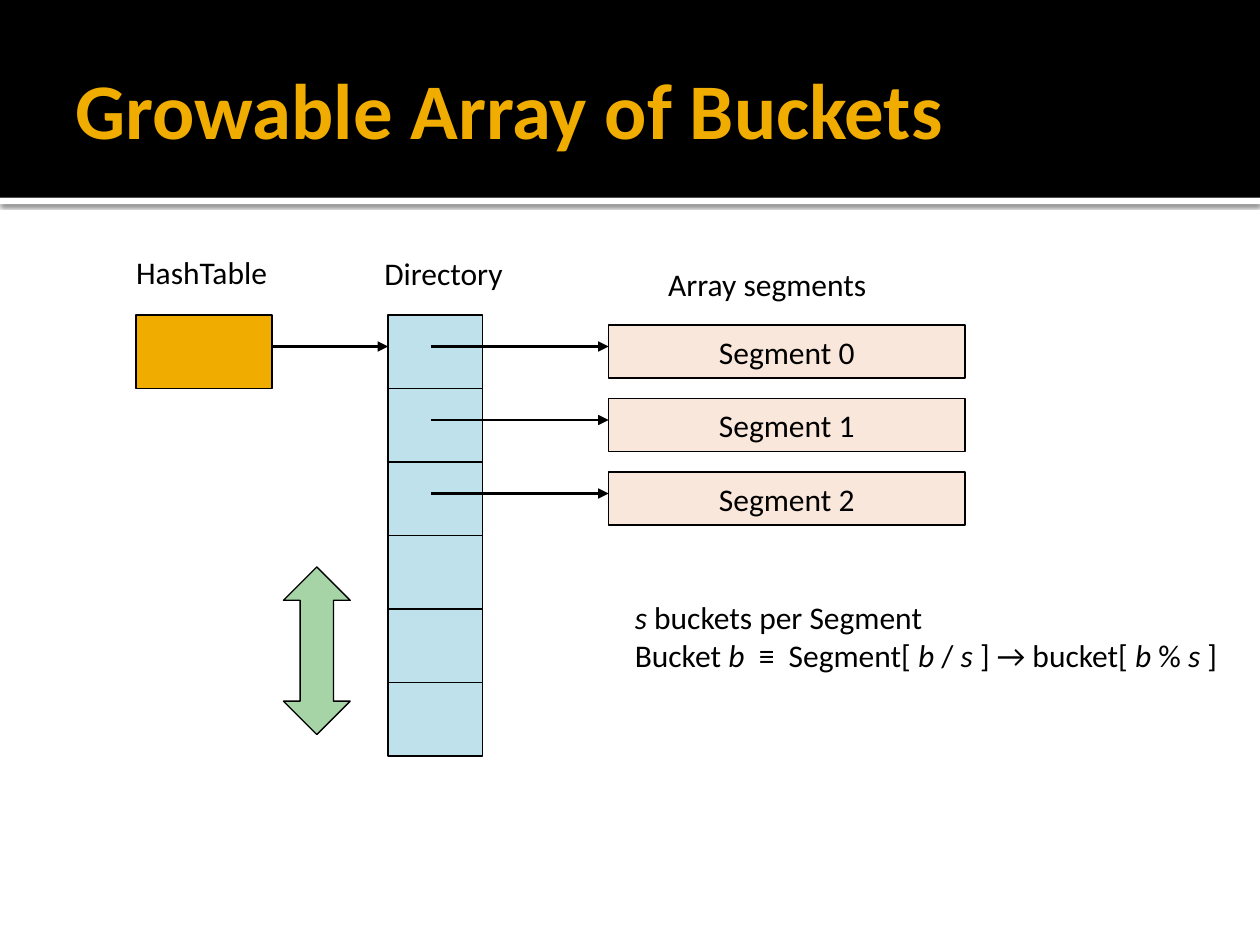
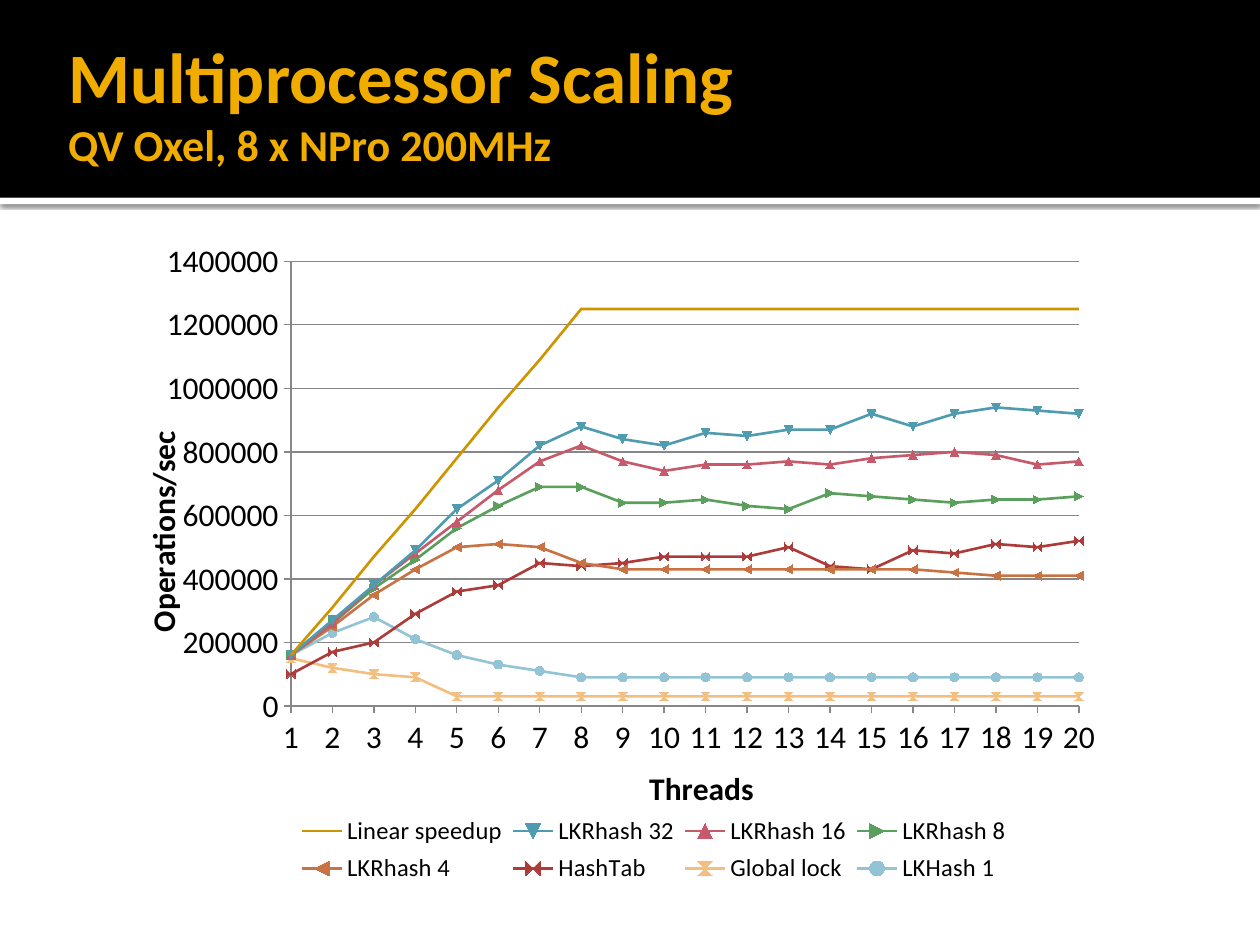
from lxml import etree
from pptx import Presentation
from pptx.chart.data import XyChartData
from pptx.dml.color import RGBColor
from pptx.enum import chart as charts, shapes, text
from pptx.oxml import parse_xml
from pptx.oxml.ns import nsdecls, qn
from pptx.util import Inches, Pt

FONT = "Calibri"
COLOURS = {
    "ink": "000000",
    "paper": "FFFFFF",
    "gold": "F0AD00",
    "directory": "BFE1EB",
    "segment": "FAE7DC",
    "growth": "A6D4A7",
    "grid": "878787",
}
ROW_PITCH = 7 / 12
DIRECTORY_ROWS = 6
SEGMENT_COUNT = 3

# name, line colour, thousands of operations per second for 1 to 20 threads
SCALING = [
    ("Linear speedup", "CE9400",
     [160, 310, 470, 620, 780, 940, 1090] + [1250] * 13),
    ("LKRhash 32", "4F9BB0",
     [160, 270, 380, 490, 620, 710, 820, 880, 840, 820,
      860, 850, 870, 870, 920, 880, 920, 940, 930, 920]),
    ("LKRhash 16", "C75A6A",
     [160, 260, 380, 480, 580, 680, 770, 820, 770, 740,
      760, 760, 770, 760, 780, 790, 800, 790, 760, 770]),
    ("LKRhash 8", "5AA05C",
     [160, 260, 370, 460, 560, 630, 690, 690, 640, 640,
      650, 630, 620, 670, 660, 650, 640, 650, 650, 660]),
    ("LKRhash 4", "C97243",
     [160, 250, 350, 430, 500, 510, 500, 450] + [430] * 8 + [420, 410, 410, 410]),
    ("HashTab", "AD3B3A",
     [100, 170, 200, 290, 360, 380, 450, 440, 450, 470,
      470, 470, 500, 440, 430, 490, 480, 510, 500, 520]),
    ("Global lock", "F2BF80", [150, 120, 100, 90] + [30] * 16),
    ("LKHash 1", "92C4D6", [160, 230, 280, 210, 160, 130, 110] + [90] * 13),
]


def rgb(name):
    return RGBColor.from_string(COLOURS.get(name, name))


def style_font(font, size, colour="ink", bold=False):
    font.name = FONT
    font.size = Pt(size)
    font.bold = bold
    font.color.rgb = rgb(colour)


def place(shape, left, top, width, height):
    shape.left, shape.top = Inches(left), Inches(top)
    shape.width, shape.height = Inches(width), Inches(height)


def add_box(slide, left, top, width, height, fill, outlined=True,
            kind=shapes.MSO_SHAPE.RECTANGLE):
    box = slide.shapes.add_shape(
        kind, Inches(left), Inches(top), Inches(width), Inches(height))
    box.shadow.inherit = False
    box.fill.solid()
    box.fill.fore_color.rgb = rgb(fill)
    if outlined:
        box.line.color.rgb = rgb("ink")
        box.line.width = Pt(0.75)
    else:
        box.line.fill.background()
    return box


def write_centred(shape, words):
    frame = shape.text_frame
    frame.word_wrap = False
    frame.vertical_anchor = text.MSO_ANCHOR.MIDDLE
    line = frame.paragraphs[0]
    line.text = words
    line.alignment = text.PP_ALIGN.CENTER
    style_font(line.font, 18)


def add_text_box(slide, left, top, width, height):
    return slide.shapes.add_textbox(
        Inches(left), Inches(top), Inches(width), Inches(height))


def add_label(slide, words, *frame):
    write_centred(add_text_box(slide, *frame), words)


def add_formula(slide, lines, *frame):
    """Write lines in which asterisks switch italics on and off."""
    body = add_text_box(slide, *frame).text_frame
    body.word_wrap = True
    for number, line in enumerate(lines):
        paragraph = body.add_paragraph() if number else body.paragraphs[0]
        style_font(paragraph.font, 18)
        for part, words in enumerate(line.split("*")):
            if words:
                run = paragraph.add_run()
                run.text = words
                run.font.italic = part % 2 == 1


def add_arrow(slide, start, end, y):
    arrow = slide.shapes.add_connector(
        shapes.MSO_CONNECTOR.STRAIGHT,
        Inches(start), Inches(y), Inches(end), Inches(y))
    arrow.line.color.rgb = rgb("ink")
    arrow.line.width = Pt(1.5)
    etree.SubElement(arrow.line._get_or_add_ln(), qn("a:tailEnd"), type="triangle")
    etree.SubElement(arrow._element.spPr, qn("a:effectLst"))


def add_master_bands(slide):
    """Build the header bands and move them behind everything on the master."""
    rule = add_box(slide, 0, 1.57, 10, 0.05, "paper", outlined=False)
    effects = rule._element.spPr.find(qn("a:effectLst"))
    effects.append(parse_xml(
        f'<a:outerShdw {nsdecls("a")} blurRad="{Pt(2.5)}" dist="{Pt(0.8)}" '
        f'dir="5400000" algn="tl" rotWithShape="0"><a:srgbClr val="{COLOURS["ink"]}">'
        '<a:alpha val="60000"/></a:srgbClr></a:outerShdw>'))
    header = add_box(slide, 0, 0, 10, 1.57, "ink", outlined=False)
    tree = slide.slide_layout.slide_master.shapes._spTree
    for position, band in enumerate((rule, header)):
        band._element.nvSpPr.cNvPr.set("id", str(100 + position))
        tree.insert(2 + position, band._element)


def add_titled_slide(deck, frame, title_lines):
    """Add a slide whose title holds (words, size) lines."""
    slide = deck.slides.add_slide(deck.slide_layouts[5])
    title = slide.shapes.title
    place(title, *frame)
    body = title.text_frame
    body.auto_size = text.MSO_AUTO_SIZE.NONE
    body.word_wrap = True
    body.vertical_anchor = text.MSO_ANCHOR.MIDDLE
    body.margin_left = Inches(0.1)
    body.margin_top = body.margin_right = body.margin_bottom = Inches(0.05)
    heading = body.paragraphs[0]
    heading.alignment = text.PP_ALIGN.LEFT
    for number, (words, size) in enumerate(title_lines):
        if number:
            heading.add_line_break()
        run = heading.add_run()
        run.text = words
        style_font(run.font, size, "gold", bold=True)
    return slide


def draw_bucket_array(slide):
    add_box(slide, 1.08, 2.5, 1.08, ROW_PITCH, "gold")
    for row in range(DIRECTORY_ROWS):
        add_box(slide, 3.08, 2.5 + row * ROW_PITCH, 0.75, ROW_PITCH, "directory")
    add_arrow(slide, 2.17, 3.08, 2.75)
    for row in range(SEGMENT_COUNT):
        offset = row * ROW_PITCH
        segment = add_box(slide, 4.83, 2.58 + offset, 2.83, 0.42, "segment")
        write_centred(segment, f"Segment {row}")
        add_arrow(slide, 3.42, 4.83, 2.75 + offset)
    add_label(slide, "HashTable", 0.95, 1.96, 1.3, 0.4)
    add_label(slide, "Directory", 2.78, 1.92, 1.48, 0.5)
    add_label(slide, "Array segments", 4.94, 2, 2.3, 0.5)
    add_box(slide, 2.25, 4.5, 0.53, 1.33, "growth",
            kind=shapes.MSO_SHAPE.UP_DOWN_ARROW)
    add_formula(slide, [
        "*s* buckets per Segment",
        "Bucket *b  *≡  Segment[ *b */ *s *] → bucket[ *b *% *s *]",
    ], 4.94, 4.7, 4.9, 0.71)


def set_layout(parent, position, x, y, size=None, inner=False):
    """Fix the place of a chart part, in fractions of the chart."""
    for old in parent.findall(qn("c:layout")):
        parent.remove(old)
    target = '<c:layoutTarget val="inner"/>' if inner else ""
    extent = '<c:w val="{}"/><c:h val="{}"/>'.format(*size) if size else ""
    parent.insert(position, parse_xml(
        f'<c:layout {nsdecls("c")}><c:manualLayout>{target}'
        '<c:xMode val="edge"/><c:yMode val="edge"/>'
        f'<c:x val="{x}"/><c:y val="{y}"/>{extent}'
        '</c:manualLayout></c:layout>'))


def style_axis(axis, title, title_at, low, high, step):
    axis.minimum_scale, axis.maximum_scale, axis.major_unit = low, high, step
    axis.major_tick_mark = charts.XL_TICK_MARK.OUTSIDE
    axis.minor_tick_mark = charts.XL_TICK_MARK.NONE
    axis.format.line.color.rgb = rgb("grid")
    axis.format.line.width = Pt(0.75)
    style_font(axis.tick_labels.font, 18)
    caption = axis.axis_title.text_frame.paragraphs[0]
    caption.text = title
    style_font(caption.font, 18, bold=True)
    set_layout(axis.axis_title._element, 1, *title_at)


def draw_scaling_chart(slide):
    data = XyChartData()
    for name, _, thousands in SCALING:
        series = data.add_series(name)
        for threads, rate in enumerate(thousands, start=1):
            series.add_data_point(threads, rate * 1000)
    chart = slide.shapes.add_chart(
        charts.XL_CHART_TYPE.XY_SCATTER_LINES,
        Inches(0.91), Inches(1.64), Inches(8.23), Inches(5.43), data).chart
    style_font(chart.font, 18)
    chart.has_title = False
    chart.plots[0].vary_by_categories = False

    style_axis(chart.category_axis, "Threads", (0.51, 0.81), 1, 20, 1)
    style_axis(chart.value_axis, "Operations/sec", (0.02, 0.32), 0, 1400000, 200000)
    chart.category_axis.has_major_gridlines = False
    chart.value_axis.has_major_gridlines = True
    gridline = chart.value_axis.major_gridlines.format.line
    gridline.color.rgb = rgb("grid")
    gridline.width = Pt(0.75)

    for series, (name, colour, _) in zip(chart.plots[0].series, SCALING):
        series.smooth = False
        series.format.line.color.rgb = rgb(colour)
        series.format.line.width = Pt(1.5)
        if name == "Linear speedup":
            series.marker.style = charts.XL_MARKER_STYLE.NONE
        else:
            series.marker.format.fill.solid()
            series.marker.format.fill.fore_color.rgb = rgb(colour)
            series.marker.format.line.color.rgb = rgb(colour)

    chart.has_legend = True
    legend = chart.legend
    legend.position = charts.XL_LEGEND_POSITION.BOTTOM
    legend.include_in_layout = False
    style_font(legend.font, 14)
    set_layout(legend._element, 1, 0.17, 0.88, (0.7, 0.12))
    plot_area = chart._chartSpace.chart.plotArea
    set_layout(plot_area, 0, 0.17, 0.08, (0.76, 0.65), inner=True)


def main():
    deck = Presentation()
    deck.slide_width, deck.slide_height = Inches(10), Inches(7.5)

    buckets = add_titled_slide(
        deck, (0.5, 0.17, 9, 1.37), [("Growable Array of Buckets", 45)])
    add_master_bands(buckets)
    draw_bucket_array(buckets)

    scaling = add_titled_slide(
        deck, (0.44, 0.18, 9.56, 1.25),
        [("Multiprocessor Scaling", 40.5), ("QV Oxel, 8 x NPro 200MHz", 25.2)])
    draw_scaling_chart(scaling)

    deck.save("out.pptx")


if __name__ == "__main__":
    main()
